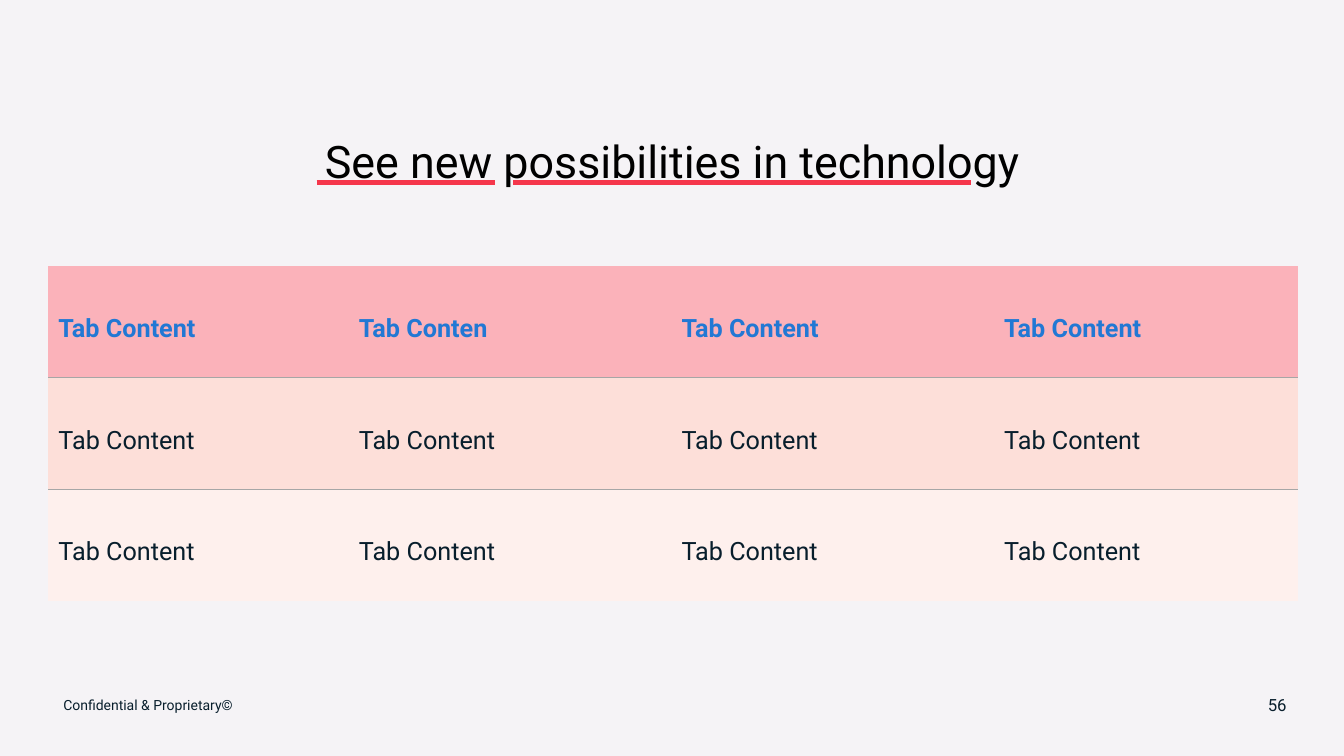
from dataclasses import dataclass

from lxml import etree
from pptx import Presentation
from pptx.dml.color import RGBColor
from pptx.enum.shapes import MSO_CONNECTOR
from pptx.enum.text import MSO_ANCHOR, PP_ALIGN
from pptx.oxml.ns import qn
from pptx.util import Inches, Pt

STRAIGHT = MSO_CONNECTOR.STRAIGHT
MIDDLE = MSO_ANCHOR.MIDDLE
LEFT, CENTER, RIGHT = PP_ALIGN.LEFT, PP_ALIGN.CENTER, PP_ALIGN.RIGHT
TITLE_ONLY = 5


@dataclass(frozen=True)
class Theme:
    font: str = "Roboto"
    background: str = "F5F3F6"
    title: str = "000000"
    text: str = "081E2C"
    header: str = "2278D4"
    accent: str = "F5364B"
    rule: str = "A6A6A6"
    row_fills: tuple = ("FBB2BA", "FDDFD9", "FEF0ED")
    title_size: int = 32
    table_size: int = 18
    number_size: int = 12
    footer_size: int = 10
    underline_width: int = 3
    rule_width: int = 1


THEME = Theme()
ROWS = [
    ["Tab Content", "Tab Conten", "Tab Content", "Tab Content"],
    ["Tab Content"] * 4,
    ["Tab Content"] * 4,
]
COLUMN_WIDTHS = [2.98, 3.2, 3.2, 3.01]


def color(value):
    return RGBColor.from_string(value)


def write(frame, text, size, ink, align=LEFT, spacing=None, bold=False):
    """Fill a text frame with one formatted paragraph."""
    frame.word_wrap = True
    frame.vertical_anchor = MIDDLE
    para = frame.paragraphs[0]
    para.text = text
    para.alignment = align
    if spacing:
        para.line_spacing = spacing
    para.font.name = THEME.font
    para.font.size = Pt(size)
    para.font.bold = bold
    para.font.color.rgb = color(ink)


def place(shape, box):
    shape.left, shape.top, shape.width, shape.height = map(Inches, box)


def add_title(page, box, text, underlines):
    """Title with underlines, given as (start, end) from the box's left."""
    place(page.shapes.title, box)
    write(page.shapes.title.text_frame, text, THEME.title_size, THEME.title,
          CENTER, spacing=1.14)
    left, top = box[:2]
    y = Inches(top + 0.83)
    for start, end in underlines:
        line = page.shapes.add_connector(
            STRAIGHT, Inches(left + start), y, Inches(left + end), y)
        line.line.color.rgb = color(THEME.accent)
        line.line.width = Pt(THEME.underline_width)
        etree.SubElement(line._element.spPr, qn("a:effectLst"))


def set_borders(cell, ruled_sides):
    """Rule the named sides of a cell and clear the others."""
    properties = cell._tc.get_or_add_tcPr()
    for index, side in enumerate("LRTB"):
        border = etree.Element(qn(f"a:ln{side}"), w=str(Pt(THEME.rule_width)))
        if side in ruled_sides:
            fill = etree.SubElement(border, qn("a:solidFill"))
            etree.SubElement(fill, qn("a:srgbClr"), val=THEME.rule)
        else:
            etree.SubElement(border, qn("a:noFill"))
        properties.insert(index, border)


def add_content_table(page, box, rows, widths):
    frame = page.shapes.add_table(len(rows), len(widths), *map(Inches, box))
    table = frame.table
    table.horz_banding = False
    for column, width in zip(table.columns, widths):
        column.width = Inches(width)
    last = len(rows) - 1
    for row, texts in enumerate(rows):
        table.rows[row].height = Inches(box[3] / len(rows))
        is_header = row == 0
        sides = ("T" if row > 0 else "") + ("B" if row < last else "")
        for column, text in enumerate(texts):
            cell = table.cell(row, column)
            cell.vertical_anchor = MIDDLE
            cell.fill.solid()
            cell.fill.fore_color.rgb = color(THEME.row_fills[row])
            set_borders(cell, sides)
            write(cell.text_frame, text, THEME.table_size,
                  THEME.header if is_header else THEME.text,
                  spacing=1.5, bold=is_header)


def add_footer(page, box, notice, number):
    """Notice on the left and page number at the right end of the box."""
    left, top, width, height = box
    number_width, gap = 0.53, 0.18
    notice_box = page.shapes.add_textbox(
        *map(Inches, (left, top, width - number_width - gap, height)))
    write(notice_box.text_frame, notice, THEME.footer_size, THEME.text)
    number_box = page.shapes.add_textbox(
        *map(Inches, (left + width - number_width, top, number_width, height)))
    write(number_box.text_frame, number, THEME.number_size, THEME.text, RIGHT)


def main():
    deck = Presentation()
    deck.slide_width, deck.slide_height = Inches(13.33), Inches(7.5)
    page = deck.slides.add_slide(deck.slide_layouts[TITLE_ONLY])
    page.background.fill.solid()
    page.background.fill.fore_color.rgb = color(THEME.background)

    add_title(page, (0.48, 0.98, 12.38, 1.15),
              "See new possibilities in technology",
              [(2.66, 4.43), (4.61, 9.15)])
    add_content_table(page, (0.48, 2.64, sum(COLUMN_WIDTHS), 3.32),
                      ROWS, COLUMN_WIDTHS)
    add_footer(page, (0.53, 6.79, 12.33, 0.4),
               "Confidential & Proprietary©", "56")
    deck.save("out.pptx")


if __name__ == "__main__":
    main()
